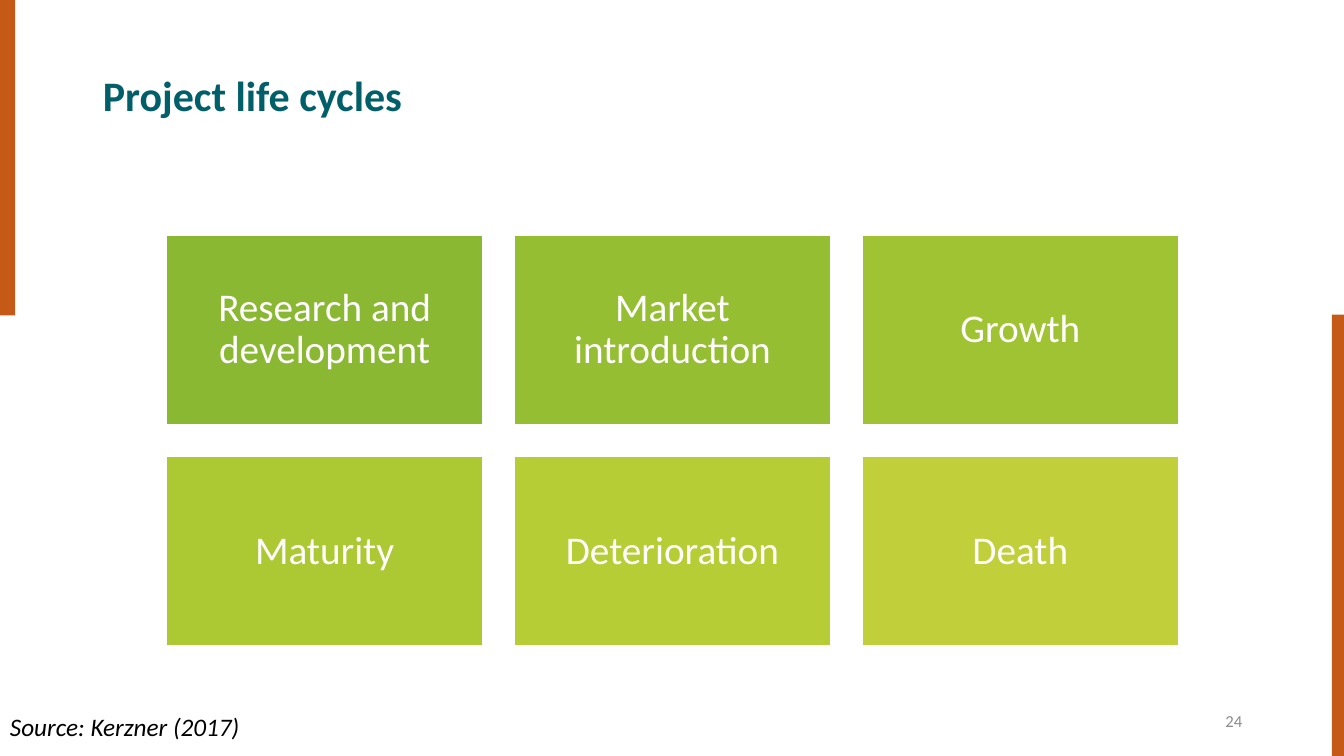
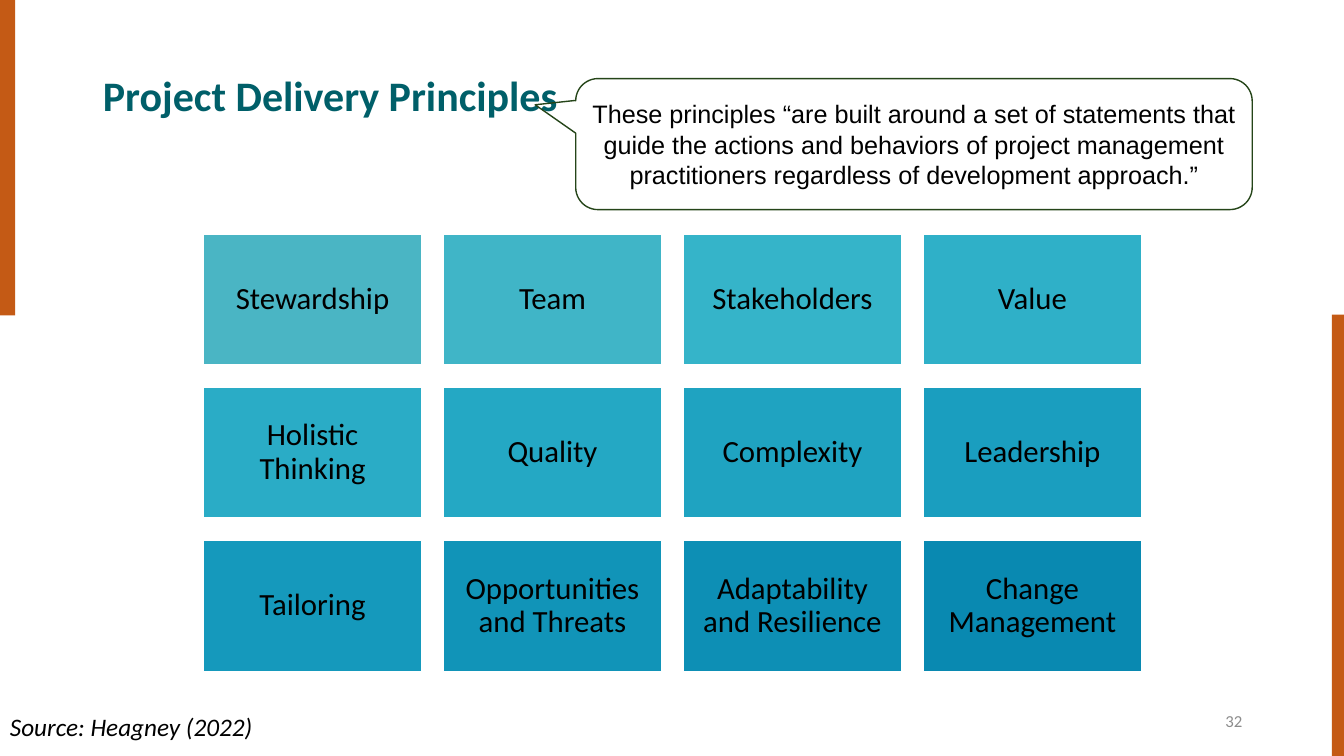
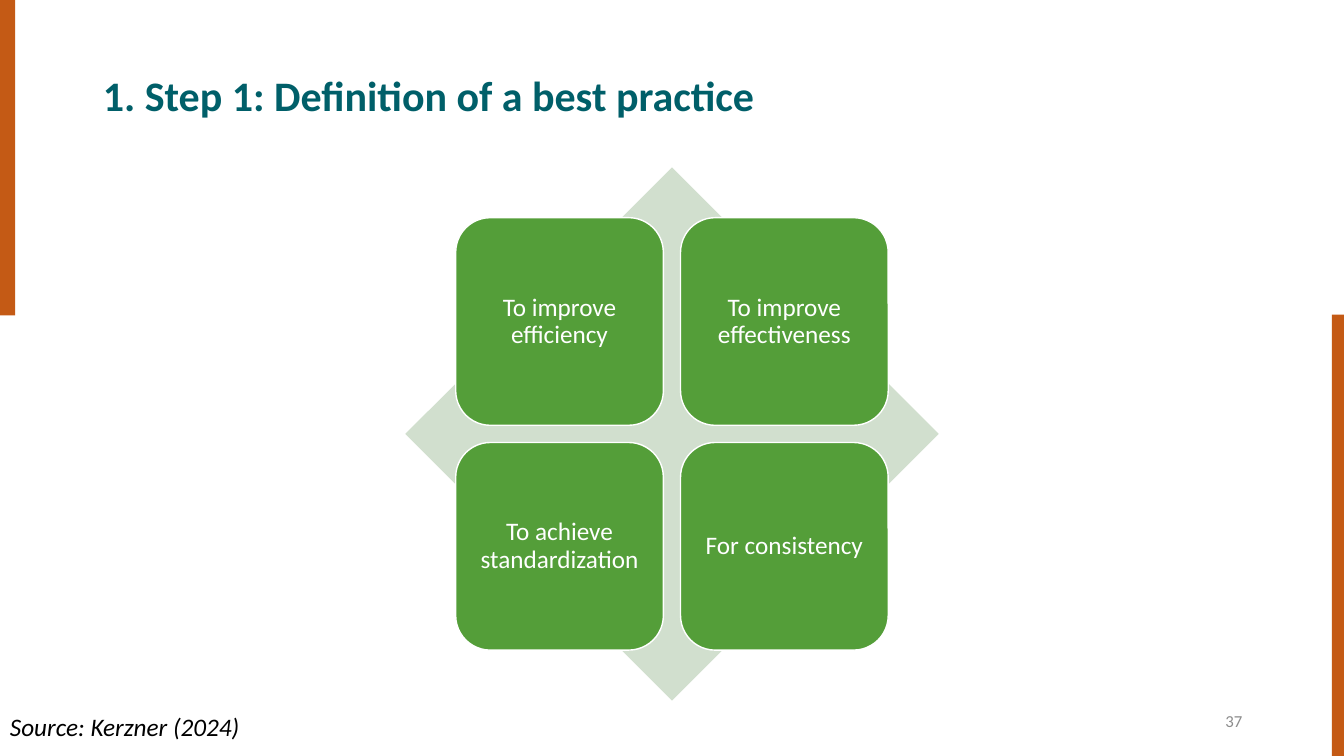
from dataclasses import dataclass

import pptx
import pptx.dml.color
import pptx.enum.shapes
import pptx.enum.text
import pptx.presentation
import pptx.shapes.autoshape
import pptx.slide
import pptx.text.text
import pptx.util

Inches = pptx.util.Inches
Pt = pptx.util.Pt
Shapes = pptx.enum.shapes.MSO_SHAPE
Align = pptx.enum.text.PP_ALIGN
Anchor = pptx.enum.text.MSO_ANCHOR

SLIDE_WIDTH = 13.33
SLIDE_HEIGHT = 7.5
TITLE_ONLY_LAYOUT = 5

ORANGE = "C45A15"
TEAL = "005F69"
GREY = "8C8C8C"
WHITE = "FFFFFF"
BLACK = "000000"
GREEN = "549E39"
PALE_GREEN = "D1DFCE"
DARK_GREEN = "254519"


@dataclass(frozen=True)
class Box:
    left: float
    top: float
    width: float
    height: float


@dataclass(frozen=True)
class TextStyle:
    size: int
    color: str
    font: str = "Calibri"
    bold: bool = False
    italic: bool = False
    align: Align = Align.LEFT
    line_spacing: float = 1.0


@dataclass(frozen=True)
class Card:
    label: str
    fill: str


@dataclass(frozen=True)
class CardGrid:
    """Equal cards in rows; first is the top left card."""
    first: Box
    columns: int
    gap_x: float
    gap_y: float
    inset: float
    style: TextStyle
    cards: list[Card]
    outline: Shapes = Shapes.RECTANGLE


SIDE_BARS = [Box(0, 0, 0.15, 3.13), Box(13.21, 3.12, 0.12, 4.38)]
TITLE_BOX = Box(0.92, 0.4, 11.5, 1.15)
NUMBER_BOX = Box(9.42, 6.95, 3, 0.4)
SOURCE_BOX = Box(0, 7.01, 3.81, 0.4)

TITLE_STYLE = TextStyle(30, TEAL, bold=True, line_spacing=0.9)
NUMBER_STYLE = TextStyle(12, GREY, align=Align.RIGHT)
SOURCE_STYLE = TextStyle(18, BLACK, italic=True)
CALLOUT_STYLE = TextStyle(18, BLACK, font="Arial", align=Align.CENTER)

LIFE_CYCLE = CardGrid(
    Box(1.65, 2.33, 3.14, 1.88), columns=3, gap_x=0.31, gap_y=0.32, inset=0.12,
    style=TextStyle(28, WHITE, align=Align.CENTER, line_spacing=0.9),
    cards=[
        Card("Research and development", "8AB833"),
        Card("Market introduction", "95BE33"),
        Card("Growth", "A0C334"),
        Card("Maturity", "ACC934"),
        Card("Deterioration", "B6CD36"),
        Card("Death", "C0CF3A"),
    ],
)
PRINCIPLES = CardGrid(
    Box(2.02, 2.32, 2.16, 1.3), columns=4, gap_x=0.22, gap_y=0.22, inset=0.09,
    style=TextStyle(22, BLACK, align=Align.CENTER, line_spacing=0.9),
    cards=[
        Card("Stewardship", "4AB5C4"),
        Card("Team", "40B5C7"),
        Card("Stakeholders", "35B4C9"),
        Card("Value", "2FB0C8"),
        Card("Holistic Thinking", "2AACC6"),
        Card("Quality", "24A8C4"),
        Card("Complexity", "1FA3C1"),
        Card("Leadership", "1A9EBF"),
        Card("Tailoring", "1599BC"),
        Card("Opportunities and Threats", "1194B8"),
        Card("Adaptability and Resilience", "0D8FB5"),
        Card("Change Management", "0989B1"),
    ],
)
BEST_PRACTICE = CardGrid(
    Box(4.52, 2.16, 2.06, 2.06), columns=2, gap_x=0.17, gap_y=0.17, inset=0.07,
    style=TextStyle(18, WHITE, align=Align.CENTER, line_spacing=0.9),
    cards=[
        Card("To improve efficiency", GREEN),
        Card("To improve effectiveness", GREEN),
        Card("To achieve standardization", GREEN),
        Card("For consistency", GREEN),
    ],
    outline=Shapes.ROUNDED_RECTANGLE,
)


def rgb(color: str) -> pptx.dml.color.RGBColor:
    return pptx.dml.color.RGBColor.from_string(color)


def lengths(box: Box) -> tuple[int, int, int, int]:
    return Inches(box.left), Inches(box.top), Inches(box.width), Inches(box.height)


def write_text(frame: pptx.text.text.TextFrame, text: str, style: TextStyle,
               anchor: Anchor = Anchor.MIDDLE) -> None:
    frame.word_wrap = True
    frame.auto_size = pptx.enum.text.MSO_AUTO_SIZE.NONE
    frame.vertical_anchor = anchor
    paragraph = frame.paragraphs[0]
    paragraph.alignment = style.align
    paragraph.line_spacing = style.line_spacing
    run = paragraph.add_run()
    run.text = text
    run.font.name = style.font
    run.font.size = Pt(style.size)
    run.font.bold = style.bold
    run.font.italic = style.italic
    run.font.color.rgb = rgb(style.color)


def add_shape(slide: pptx.slide.Slide, outline: Shapes, box: Box, fill: str | None = None,
              line: str | None = None) -> pptx.shapes.autoshape.Shape:
    shape = slide.shapes.add_shape(outline, *lengths(box))
    shape.shadow.inherit = False
    if fill:
        shape.fill.solid()
        shape.fill.fore_color.rgb = rgb(fill)
    else:
        shape.fill.background()
    if line:
        shape.line.color.rgb = rgb(line)
        shape.line.width = Pt(1)
    else:
        shape.line.fill.background()
    return shape


def add_text_box(slide: pptx.slide.Slide, box: Box, text: str, style: TextStyle,
                 anchor: Anchor) -> None:
    text_box = slide.shapes.add_textbox(*lengths(box))
    write_text(text_box.text_frame, text, style, anchor)


def add_slide(presentation: pptx.presentation.Presentation, title: str, number: int,
              source: str) -> pptx.slide.Slide:
    """Add a slide with the shared side bars, title, page number and source."""
    slide = presentation.slides.add_slide(presentation.slide_layouts[TITLE_ONLY_LAYOUT])
    for bar in SIDE_BARS:
        add_shape(slide, Shapes.RECTANGLE, bar, fill=ORANGE)
    heading = slide.shapes.title
    heading.left, heading.top, heading.width, heading.height = lengths(TITLE_BOX)
    write_text(heading.text_frame, title, TITLE_STYLE)
    add_text_box(slide, NUMBER_BOX, str(number), NUMBER_STYLE, Anchor.MIDDLE)
    add_text_box(slide, SOURCE_BOX, f"Source: {source}", SOURCE_STYLE, Anchor.TOP)
    return slide


def add_card_grid(slide: pptx.slide.Slide, grid: CardGrid) -> None:
    first = grid.first
    for index, card in enumerate(grid.cards):
        row, column = divmod(index, grid.columns)
        box = Box(first.left + column * (first.width + grid.gap_x),
                  first.top + row * (first.height + grid.gap_y),
                  first.width, first.height)
        shape = add_shape(slide, grid.outline, box, card.fill, WHITE)
        frame = shape.text_frame
        frame.margin_left = frame.margin_right = Inches(grid.inset)
        frame.margin_top = frame.margin_bottom = Inches(grid.inset)
        write_text(frame, card.label, grid.style)


def add_callout(slide: pptx.slide.Slide, text: str) -> None:
    callout = add_shape(slide, Shapes.ROUNDED_RECTANGULAR_CALLOUT,
                        Box(5.71, 0.78, 6.71, 1.3), line=DARK_GREEN)
    for index, value in enumerate((-0.56, -0.3, 0.17)):
        callout.adjustments[index] = value
    write_text(callout.text_frame, text, CALLOUT_STYLE)


def main() -> None:
    presentation = pptx.Presentation()
    presentation.slide_width = Inches(SLIDE_WIDTH)
    presentation.slide_height = Inches(SLIDE_HEIGHT)

    life_cycle_slide = add_slide(presentation, "Project life cycles", 24, "Kerzner (2017)")
    add_card_grid(life_cycle_slide, LIFE_CYCLE)

    principles_slide = add_slide(presentation, "Project Delivery Principles", 32,
                                 "Heagney (2022)")
    add_card_grid(principles_slide, PRINCIPLES)
    add_callout(principles_slide,
                "These principles “are built around a set of statements that guide the "
                "actions and behaviors of project management practitioners regardless of "
                "development approach.”")

    practice_slide = add_slide(presentation, "1. Step 1: Definition of a best practice", 37,
                               "Kerzner (2024)")
    add_shape(practice_slide, Shapes.DIAMOND, Box(4.02, 1.66, 5.29, 5.29), fill=PALE_GREEN)
    add_card_grid(practice_slide, BEST_PRACTICE)

    presentation.save("out.pptx")


if __name__ == "__main__":
    main()
